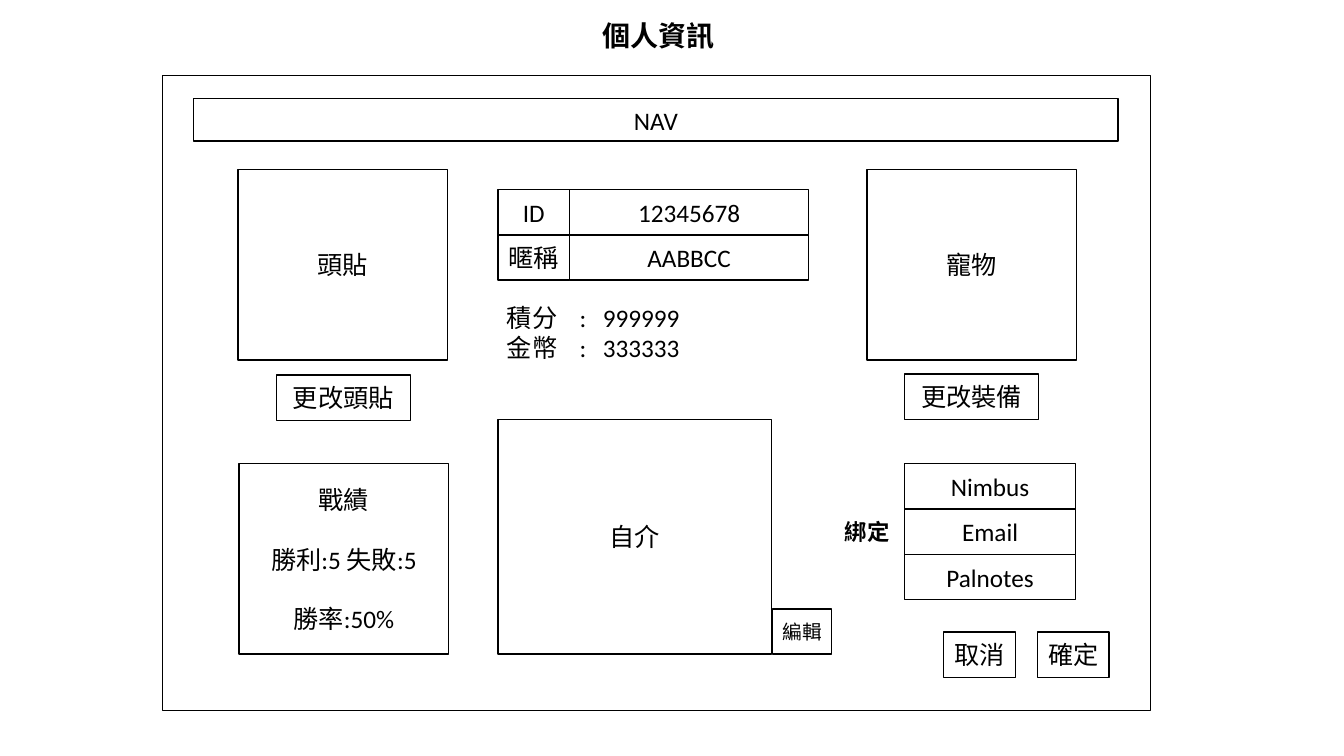
from lxml import etree
from pptx import Presentation
from pptx.dml.color import RGBColor
from pptx.enum.shapes import MSO_SHAPE
from pptx.enum.text import MSO_ANCHOR, PP_ALIGN
from pptx.oxml.ns import qn
from pptx.util import Inches, Pt

RECT = MSO_SHAPE.RECTANGLE
MIDDLE = MSO_ANCHOR.MIDDLE
CENTER, LEFT = PP_ALIGN.CENTER, PP_ALIGN.LEFT
FONT = "Calibri"
BLACK, WHITE = "000000", "FFFFFF"
ROW = 0.45
SQUARE = (2.08, 1.89)
BUTTON = (1.33, ROW)
SMALL = (0.71, ROW)


def color(code):
    """Turn a hex string into a colour."""
    return RGBColor.from_string(code)


def style(frame, size, align, bold=False, gap=0):
    """Format all text in a frame, with a gap between paragraphs."""
    for index, para in enumerate(frame.paragraphs):
        para.alignment = align
        if gap and index:
            para.space_before = Pt(gap)
        for run in para.runs:
            run.font.name = FONT
            run.font.size = Pt(size)
            run.font.bold = bold
            run.font.color.rgb = color(BLACK)


def box(slide, left, top, width, height, text="", size=18, gap=0):
    """Draw an outlined box with centred text."""
    shape = slide.shapes.add_shape(
        RECT, Inches(left), Inches(top), Inches(width), Inches(height))
    shape.shadow.inherit = False
    shape.fill.solid()
    shape.fill.fore_color.rgb = color(WHITE)
    shape.line.color.rgb = color(BLACK)
    shape.line.width = Pt(1)
    frame = shape.text_frame
    frame.margin_left = frame.margin_right = 0
    frame.vertical_anchor = MIDDLE
    frame.word_wrap = True
    frame.text = text
    style(frame, size, CENTER, gap=gap)


def label(slide, left, top, width, height, text, size,
          align=LEFT, bold=False, stops=()):
    """Add plain text, with optional tab stops in inches."""
    shape = slide.shapes.add_textbox(
        Inches(left), Inches(top), Inches(width), Inches(height))
    frame = shape.text_frame
    frame.word_wrap = True
    frame.text = text
    if stops:
        for para in frame.paragraphs:
            tabs = etree.SubElement(
                para._p.get_or_add_pPr(), qn("a:tabLst"))
            for stop in stops:
                etree.SubElement(tabs, qn("a:tab"),
                                 pos=str(Inches(stop)), algn="l")
    style(frame, size, align, bold)


def main():
    """Build the profile page wireframe."""
    deck = Presentation()
    deck.slide_width, deck.slide_height = Inches(13.33), Inches(7.5)
    slide = deck.slides.add_slide(deck.slide_layouts[6])

    label(slide, 5.4, 0.13, 2.26, 0.44, "個人資訊", 20, CENTER, True)
    box(slide, 1.61, 0.75, 9.8, 6.3)
    box(slide, 1.92, 0.98, 9.17, 0.42, "NAV")

    box(slide, 2.36, 1.68, *SQUARE, "頭貼")
    box(slide, 8.6, 1.68, *SQUARE, "寵物")
    box(slide, 2.74, 3.72, *BUTTON, "更改頭貼")
    box(slide, 8.97, 3.71, *BUTTON, "更改裝備")

    for row, (name, value) in enumerate(
            [("ID", "12345678"), ("暱稱", "AABBCC")]):
        top = 1.88 + row * ROW
        box(slide, 4.94, top, *SMALL, name)
        box(slide, 5.65, top, 2.37, ROW, value)
    label(slide, 4.93, 2.95, 2.11, 0.71,
          "積分\t:\t999999\n金幣\t:\t333333", 18, stops=(0.72, 0.95))

    box(slide, 2.37, 4.6, *SQUARE,
        "戰績\n勝利:5 失敗:5\n勝率:50%".replace(" ", " "), gap=21)
    box(slide, 4.94, 4.16, 2.71, 2.33, "自介")
    box(slide, 7.66, 6.04, 0.59, ROW, "編輯", 14)

    label(slide, 8.28, 5.09, 0.84, 0.37, "綁定", 16, bold=True)
    for row, name in enumerate(["Nimbus", "Email", "Palnotes"]):
        box(slide, 8.97, 4.6 + row * ROW, 1.7, ROW, name)
    for left, name in [(9.36, "取消"), (10.29, "確定")]:
        box(slide, left, 6.27, *SMALL, name)

    deck.save("out.pptx")


if __name__ == "__main__":
    main()
